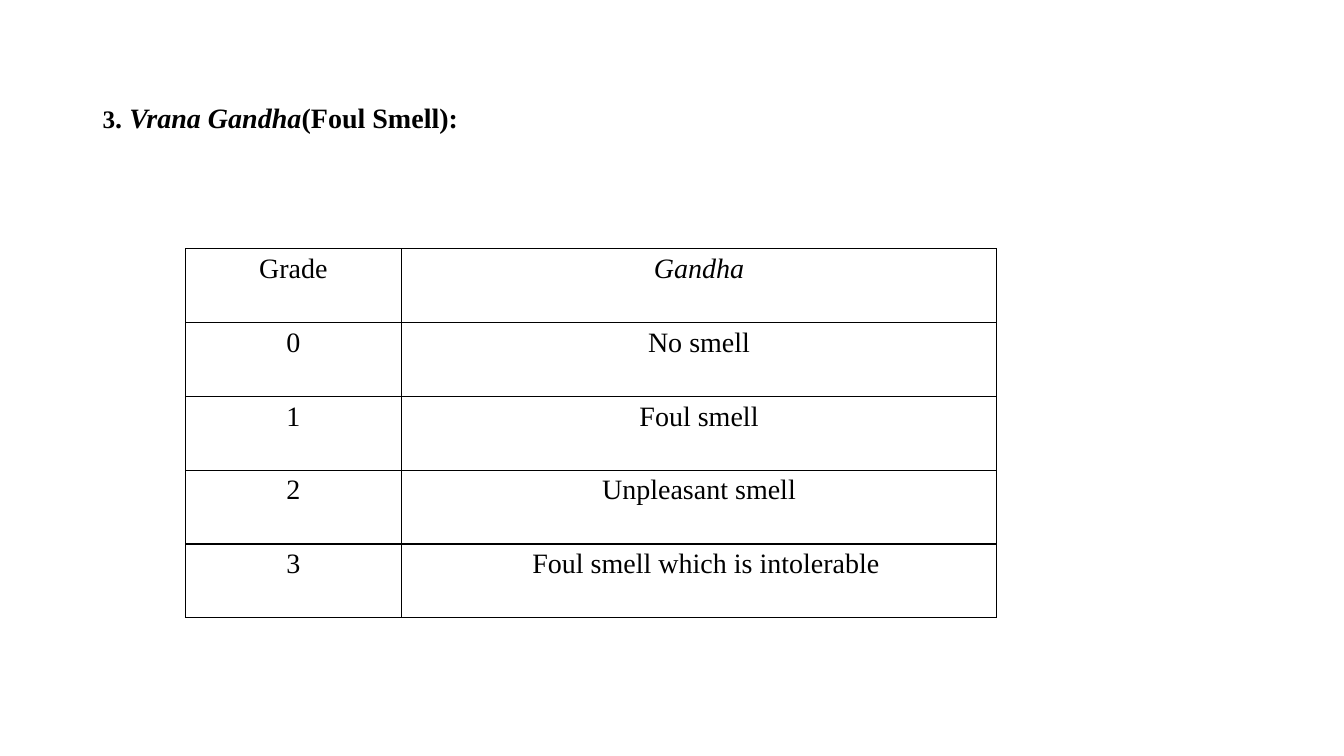
"""Builds the slide that grades foul smell (Vrana Gandha) in a table."""
from lxml import etree
from pptx import Presentation
from pptx.dml.color import RGBColor
from pptx.enum.text import MSO_ANCHOR, PP_ALIGN
from pptx.oxml.ns import qn
from pptx.util import Pt

CENTER, LEFT = PP_ALIGN.CENTER, PP_ALIGN.LEFT
TOP = MSO_ANCHOR.TOP

HEADING = [("3", 18, False), (". ", 20, False),
           ("Vrana Gandha", 20, True), ("(Foul Smell):", 20, False)]
GRADES = [
    ("Grade", "Gandha"),
    ("0", "No smell"),
    ("1", "Foul smell"),
    ("2", "Unpleasant smell"),
    ("3", "Foul smell which is intolerable"),
]
ITALIC_LABEL = "Gandha"
LAST_LABEL = GRADES[-1][1]

THEME = {"font": "Times New Roman", "ink": "000000", "body": 20, "rule": 1}
SLIDE_SIZE = (960, 540)
HEADING_BOX = (66.24, 71.28, 828, 415.44)
TABLE_ORIGIN = (132.6, 177.8)
COLUMN_WIDTHS = (154, 425.5)
ROW_HEIGHT = 52.7
CELL_INSET = 5
LAST_LABEL_SHIFT = 10


def style_run(run, size, bold=False, italic=False):
    font = run.font
    font.name = THEME["font"]
    font.size = Pt(size)
    font.bold = bold
    font.italic = italic
    font.color.rgb = RGBColor.from_string(THEME["ink"])


def draw_borders(cell):
    properties = cell._tc.get_or_add_tcPr()
    for position, side in enumerate(("a:lnL", "a:lnR", "a:lnT", "a:lnB")):
        line = etree.Element(qn(side), w=str(Pt(THEME["rule"])))
        fill = etree.SubElement(line, qn("a:solidFill"))
        etree.SubElement(fill, qn("a:srgbClr"), val=THEME["ink"])
        properties.insert(position, line)


def add_heading(slide):
    frame = slide.shapes.add_textbox(*map(Pt, HEADING_BOX)).text_frame
    frame.word_wrap = True
    paragraph = frame.paragraphs[0]
    paragraph.alignment = LEFT
    paragraph.line_spacing = 0.9
    paragraph.space_before = Pt(10)
    for text, size, italic in HEADING:
        run = paragraph.add_run()
        run.text = text
        style_run(run, size, bold=True, italic=italic)


def fill_cell(cell, label):
    shift = LAST_LABEL_SHIFT if label == LAST_LABEL else 0
    cell.margin_left = Pt(CELL_INSET + shift)
    cell.margin_right = Pt(CELL_INSET)
    cell.margin_top = cell.margin_bottom = Pt(0)
    cell.vertical_anchor = TOP
    cell.fill.background()
    draw_borders(cell)
    paragraph = cell.text_frame.paragraphs[0]
    paragraph.text = label
    paragraph.alignment = CENTER
    paragraph.line_spacing = 1.15
    paragraph.space_after = Pt(10)
    style_run(paragraph.runs[0], THEME["body"], italic=label == ITALIC_LABEL)


def add_grades(slide):
    size = (sum(COLUMN_WIDTHS), ROW_HEIGHT * len(GRADES))
    table = slide.shapes.add_table(len(GRADES), len(COLUMN_WIDTHS),
                                   *map(Pt, TABLE_ORIGIN + size)).table
    table.first_row = table.horz_banding = False
    for column, width in zip(table.columns, COLUMN_WIDTHS):
        column.width = Pt(width)
    for row, labels in zip(table.rows, GRADES):
        row.height = Pt(ROW_HEIGHT)
        for cell, label in zip(row.cells, labels):
            fill_cell(cell, label)


def main():
    deck = Presentation()
    deck.slide_width, deck.slide_height = map(Pt, SLIDE_SIZE)
    slide = deck.slides.add_slide(deck.slide_layouts[6])
    add_heading(slide)
    add_grades(slide)
    deck.save("out.pptx")


if __name__ == "__main__":
    main()
